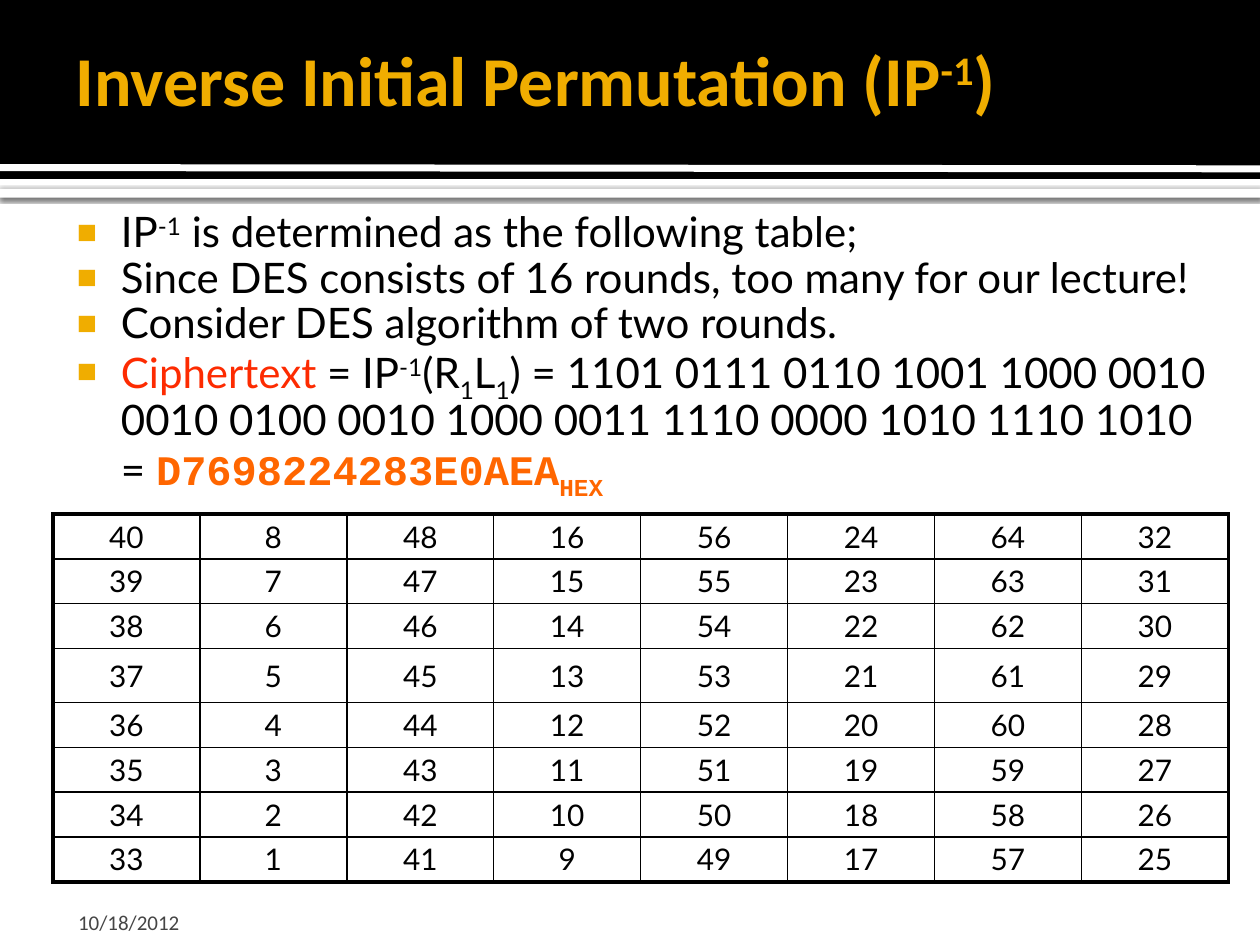
from lxml.etree import SubElement
from pptx import Presentation
from pptx.dml.color import RGBColor
from pptx.enum.shapes import MSO_CONNECTOR, MSO_SHAPE
from pptx.enum.text import MSO_ANCHOR, MSO_AUTO_SIZE, PP_ALIGN
from pptx.oxml import parse_xml
from pptx.oxml.ns import nsdecls, qn
from pptx.util import Inches, Pt

# Content: each span is (text, baseline percent, font overrides)
BLACK, WHITE, GOLD, GRAY = "000000", "FFFFFF", "F0AD00", "454545"
RED = {"color": "FD2B01"}
CODE = {"name": "Courier New", "color": "FF6600", "bold": True}

TITLE = [[("Inverse Initial Permutation (IP", 0, {}), ("-1", 30, {}), (")", 0, {})]]
BULLETS = [
    [("IP", 0, {}), ("-1", 30, {}),
     (" is determined as the following table;", 0, {})],
    [("Since DES consists of 16 rounds, too many for our lecture!", 0, {})],
    [("Consider DES algorithm of two rounds.", 0, {})],
    [("Ciphertext", 0, RED), (" = IP", 0, {}), ("-1", 30, {}), ("(R", 0, {}),
     ("1", -25, {}), ("L", 0, {}), ("1", -25, {}),
     (") = 1101 0111 0110 1001 1000 0010 0010 0100 0010 1000 0011 1110 "
      "0000 1010 1110 1010 = ", 0, {}),
     ("D7698224283E0AEA", 0, CODE), ("HEX", -25, CODE)],
]
DATE = [[("10/18/2012", 0, {})]]
TOP_ROW = [40, 8, 48, 16, 56, 24, 64, 32]  # every row below counts down by one
ROWS, TALL_ROW, TALL_HEIGHT = 8, 3, 0.43

# Formats
TITLE_FONT = {"name": "Calibri", "size": 40, "color": GOLD, "bold": True}
BODY_FONT = {"name": "Lato", "size": 24, "color": BLACK}
CELL_FONT = {"name": "Lato", "size": 17, "color": BLACK}
DATE_FONT = {"name": "Calibri", "size": 12, "color": GRAY}
THIN, THICK = 1, 2.25
WIDTH, HEIGHT = 10, 7.5
TABLE_AREA = (0.42, 4.08, 9.33, 2.92)


def rgb(value):
    return RGBColor.from_string(value)


def set_font(font, values):
    for key, value in values.items():
        if key == "color":
            font.color.rgb = rgb(value)
        else:
            setattr(font, key, Pt(value) if key == "size" else value)


def place(box, area):
    for side, value in zip(("left", "top", "width", "height"), area):
        setattr(box, side, Inches(value))


def fill_text(box, lines, font, anchor, insets):
    frame = box.text_frame
    frame.word_wrap, frame.auto_size = True, MSO_AUTO_SIZE.NONE
    frame.vertical_anchor = anchor
    for side, value in zip(("left", "top", "right", "bottom"), insets):
        setattr(frame, f"margin_{side}", Inches(value))
    for number, spans in enumerate(lines):
        para = frame.add_paragraph() if number else frame.paragraphs[0]
        para.alignment, para.space_before = PP_ALIGN.LEFT, Pt(0)
        for text, baseline, changes in spans:
            span = para.add_run()
            span.text = text
            set_font(span.font, {**font, **changes})
            if baseline:
                span.font._element.set("baseline", str(baseline * 1000))


def add_bullet(para):
    props = para._p.get_or_add_pPr()
    props.set("marL", str(Inches(0.48)))
    props.set("indent", str(Inches(-0.35)))
    color = SubElement(props, qn("a:buClr"))
    SubElement(color, qn("a:srgbClr"), val=GOLD)
    SubElement(props, qn("a:buSzPct"), val="80000")
    SubElement(props, qn("a:buFont"), typeface="Arial")
    SubElement(props, qn("a:buChar"), char="■")
    para.line_spacing = 0.9


def add_bar(page, area, color):
    bar = page.shapes.add_shape(MSO_SHAPE.RECTANGLE, *map(Inches, area))
    bar.shadow.inherit = False
    bar.fill.solid()
    bar.fill.fore_color.rgb = rgb(color)
    bar.line.fill.background()
    return bar


def add_header(page):
    strip = add_bar(page, (0, 1.5, WIDTH, 0.07), WHITE)
    effects = strip._element.spPr.find(qn("a:effectLst"))
    effects.append(parse_xml(
        f'<a:outerShdw {nsdecls("a")} blurRad="{Pt(2.5)}" dist="{Pt(0.8)}" '
        f'dir="5400000" rotWithShape="0"><a:srgbClr val="{BLACK}">'
        '<a:alpha val="60000"/></a:srgbClr></a:outerShdw>'))
    add_bar(page, (0, 0, WIDTH, 1.42), BLACK)
    rule = page.shapes.add_connector(
        MSO_CONNECTOR.STRAIGHT, 0, Inches(1.33), Inches(WIDTH), Inches(1.34))
    rule.line.color.rgb, rule.line.width = rgb(WHITE), Pt(4)
    SubElement(rule._element.spPr, qn("a:effectLst"))


def set_borders(cell, widths):
    props = cell._tc.get_or_add_tcPr()
    for position, (side, width) in enumerate(zip("LRTB", widths)):
        props.insert(position, parse_xml(
            f'<a:ln{side} {nsdecls("a")} w="{Pt(width)}"><a:solidFill>'
            f'<a:srgbClr val="{BLACK}"/></a:solidFill></a:ln{side}>'))


def add_permutation(page):
    columns = len(TOP_ROW)
    table = page.shapes.add_table(ROWS, columns, *map(Inches, TABLE_AREA)).table
    table.first_row = table.horz_banding = False
    for column in table.columns:
        column.width = Inches(TABLE_AREA[2] / columns)
    for r, row in enumerate(table.rows):
        normal = (TABLE_AREA[3] - TALL_HEIGHT) / (ROWS - 1)
        row.height = Inches(TALL_HEIGHT if r == TALL_ROW else normal)
        for c, cell in enumerate(row.cells):
            outer = (c == 0, c == columns - 1, r == 0, r == ROWS - 1)
            set_borders(cell, [THICK if edge else THIN for edge in outer])
            cell.fill.background()
            cell.vertical_anchor = MSO_ANCHOR.MIDDLE
            for side in ("left", "top", "right", "bottom"):
                setattr(cell, f"margin_{side}", 0)
            para = cell.text_frame.paragraphs[0]
            para.alignment = PP_ALIGN.CENTER
            span = para.add_run()
            span.text = str(TOP_ROW[c] - r)
            set_font(span.font, CELL_FONT)


def main():
    deck = Presentation()
    deck.slide_width, deck.slide_height = Inches(WIDTH), Inches(HEIGHT)
    page = deck.slides.add_slide(deck.slide_layouts[1])
    page.background.fill.solid()
    page.background.fill.fore_color.rgb = rgb(WHITE)
    title, body = page.placeholders

    add_header(page)
    add_permutation(page)

    # Date
    date = page.shapes.add_textbox(*map(Inches, (0.5, 7.12, 2.33, 0.3)))
    fill_text(date, DATE, DATE_FONT, MSO_ANCHOR.BOTTOM, (0.12, 0.05, 0.05, 0))

    # Title and bullets, in front of the header bars
    place(title, (0.5, 0.08, 8.25, 1.08))
    fill_text(title, TITLE, TITLE_FONT, MSO_ANCHOR.MIDDLE, (0.1, 0.05, 0.05, 0.05))
    place(body, (0.42, 1.58, 9.33, 2.2))
    fill_text(body, BULLETS, BODY_FONT, MSO_ANCHOR.TOP, (0.06, 0.1, 0.1, 0.05))
    for para in body.text_frame.paragraphs:
        add_bullet(para)
    for holder in (title, body):
        page.shapes._spTree.append(holder._element)

    deck.save("out.pptx")


if __name__ == "__main__":
    main()
